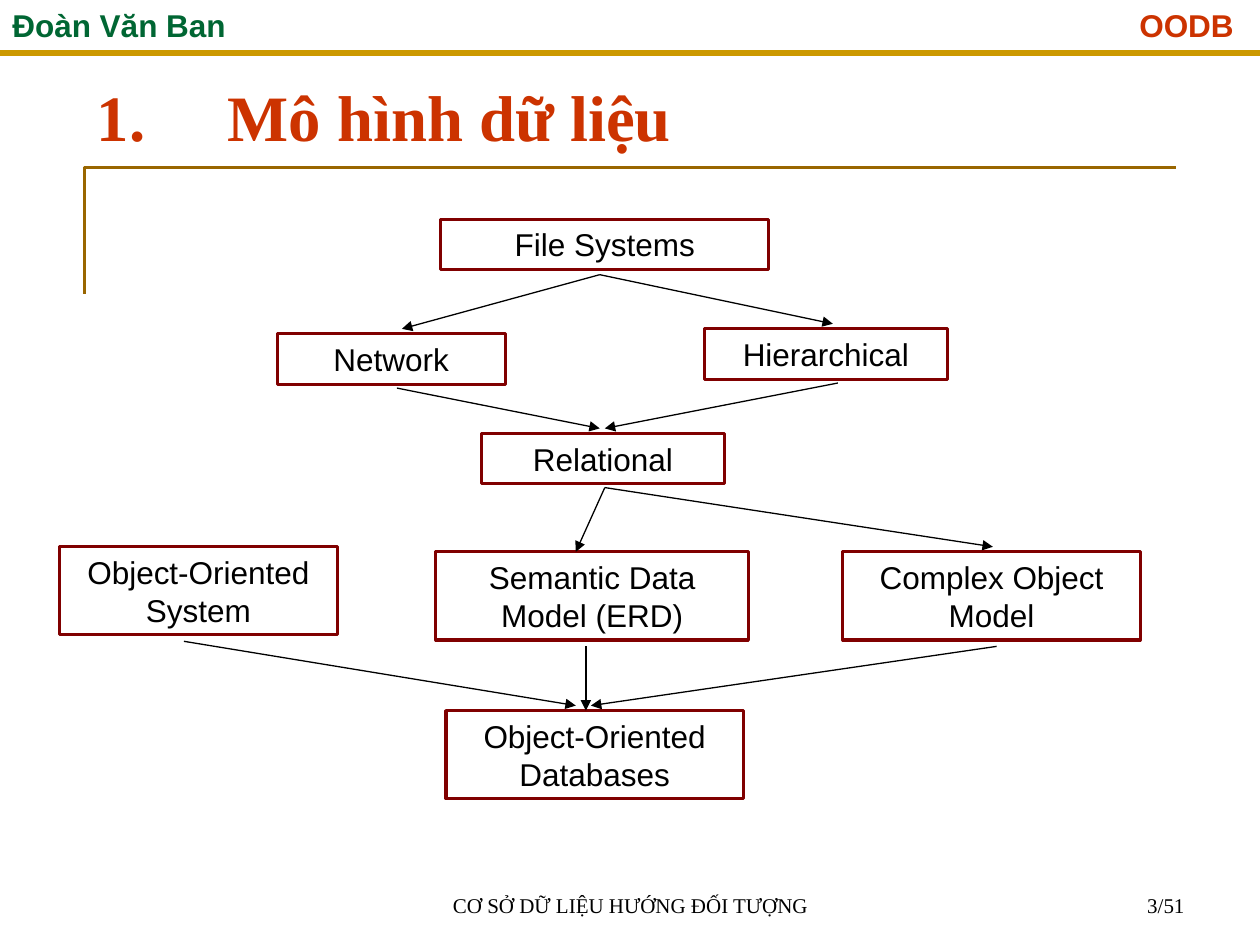
from lxml.etree import SubElement as Sub
from pptx import Presentation
from pptx.dml.color import RGBColor
from pptx.enum.shapes import MSO_CONNECTOR as Link, MSO_SHAPE as Shape
from pptx.enum.text import MSO_ANCHOR as Anchor, PP_ALIGN as Align
from pptx.oxml.ns import qn
from pptx.util import Inches, Pt

WIDE, HIGH = Inches(10), Inches(7.5)
COLS, ROWS = 100, 75
SANS, SERIF = "Arial", "Times New Roman"
BLACK, RED, GREEN = "000000", "CC3300", "006633"
GOLD, BROWN, WINE = "CC9900", "996600", "800000"
ONE, TWO = 4, 7

BOXES = [
    ("File Systems", 35, 17.4, 26, ONE),
    ("Network", 22, 26.5, 18.1, ONE),
    ("Hierarchical", 55.9, 26.1, 19.3, ONE),
    ("Relational", 38.2, 34.4, 19.3, ONE),
    ("Object-Oriented System", 4.7, 43.4, 22.1, TWO),
    ("Semantic Data Model (ERD)", 34.6, 43.8, 24.8, TWO),
    ("Complex Object Model", 66.9, 43.8, 23.6, TWO),
    ("Object-Oriented Databases", 35.4, 56.4, 23.6, TWO),
]
ARROWS = [
    ((47.6, 21.8), (31.9, 26.1)),
    ((47.6, 21.8), (66.1, 25.7)),
    ((31.5, 30.8), (47.6, 34)),
    ((66.5, 30.4), (48, 34)),
    ((48, 38.7), (45.7, 43.8)),
    ((48, 38.7), (78.8, 43.4)),
    ((14.6, 50.9), (45.7, 56)),
    ((46.5, 51.3), (46.5, 56.4)),
    ((79.1, 51.3), (46.9, 56)),
]


def col(n):
    return round(WIDE * n / COLS)


def row(n):
    return round(HIGH * n / ROWS)


def area(x, y, w, h):
    return col(x), row(y), col(w), row(h)


def tint(code):
    return RGBColor.from_string(code)


def stroke(line, code, size):
    line.color.rgb = tint(code)
    line.width = Pt(size)


def write(shape, text, font, size, code, align, bold=False, anchor=Anchor.TOP):
    frame = shape.text_frame
    frame.word_wrap = True
    frame.vertical_anchor = anchor
    frame.text = text
    para = frame.paragraphs[0]
    para.alignment = align
    style = para.runs[0].font
    style.name, style.size, style.bold = font, Pt(size), bold
    style.color.rgb = tint(code)
    return para


def label(slide, place, *look, **more):
    return write(slide.shapes.add_textbox(*area(*place)), *look, **more)


def box(slide, text, x, y, w, h):
    shape = slide.shapes.add_shape(Shape.RECTANGLE, *area(x, y, w, h))
    shape.shadow.inherit = False
    shape.fill.background()
    stroke(shape.line, WINE, 1.75)
    write(shape, text, SANS, 18, BLACK, Align.CENTER)


def rule(slide, start, end, code, size):
    line = slide.shapes.add_connector(
        Link.STRAIGHT, col(start[0]), row(start[1]), col(end[0]), row(end[1]))
    stroke(line.line, code, size)
    Sub(line._element.spPr, qn("a:effectLst"))
    return line


def arrow(slide, start, end):
    line = rule(slide, start, end, BLACK, 0.75)
    Sub(line.line._get_or_add_ln(), qn("a:tailEnd"), type="triangle")


def corner(slide):
    path = slide.shapes.build_freeform(col(6.7), row(23.3))
    path.add_line_segments(
        [(col(6.7), row(13.3)), (col(93.3), row(13.3))], close=False)
    shape = path.convert_to_shape()
    shape.shadow.inherit = False
    shape.fill.background()
    stroke(shape.line, BROWN, 2)


def number(para, code, dent):
    props = para._p.get_or_add_pPr()
    props.set("marL", str(dent))
    props.set("indent", str(-dent))
    Sub(Sub(props, qn("a:buClr")), qn("a:srgbClr"), val=code)
    Sub(props, qn("a:buFont"), typeface=SERIF)
    Sub(props, qn("a:buAutoNum"), type="arabicPeriod")


def main():
    deck = Presentation()
    deck.slide_width, deck.slide_height = WIDE, HIGH
    slide = deck.slides.add_slide(deck.slide_layouts[6])

    corner(slide)
    label(slide, (0, 0, 50, 4), "Đoàn Văn Ban", SANS, 18, GREEN, Align.LEFT, bold=True)
    label(slide, (50, 0, 48.9, 4), "OODB", SANS, 18, RED, Align.RIGHT, bold=True)
    rule(slide, (0, 4.2), (COLS, 4.2), GOLD, 3)
    label(slide, (34.2, 68.3, 31.7, 5), "CƠ SỞ DỮ LIỆU HƯỚNG ĐỐI TƯỢNG",
          SERIF, 12, BLACK, Align.CENTER, anchor=Anchor.BOTTOM)
    label(slide, (71.7, 68.3, 23.3, 5), "3/51",
          SERIF, 12, BLACK, Align.RIGHT, anchor=Anchor.BOTTOM)
    title = label(slide, (6.7, 5.6, 93.3, 13.3), "Mô hình dữ liệu",
                  SERIF, 37, RED, Align.LEFT, bold=True)
    number(title, RED, col(10.4))

    for item in BOXES:
        box(slide, *item)
    for start, end in ARROWS:
        arrow(slide, start, end)
    deck.save("out.pptx")


if __name__ == "__main__":
    main()
